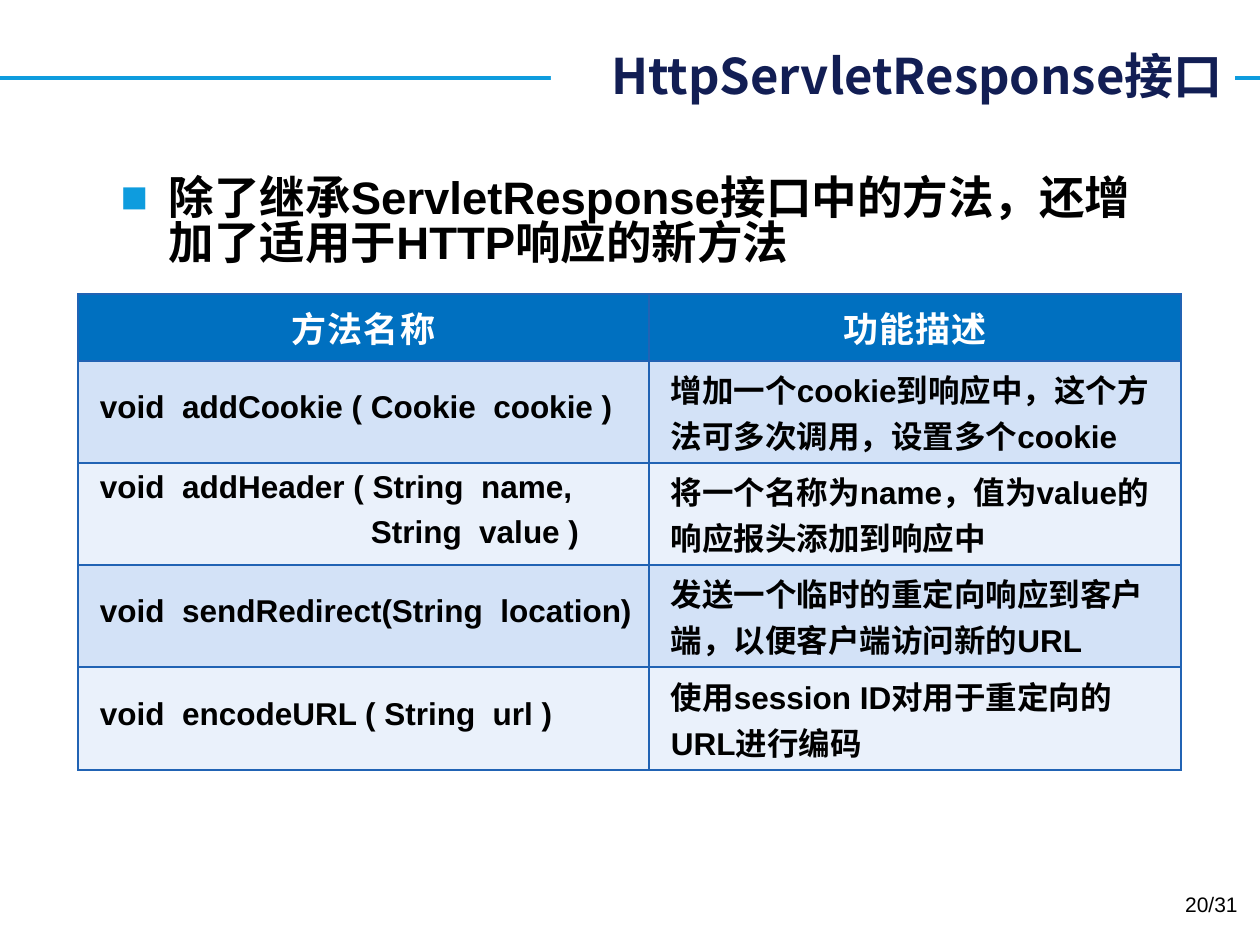
from lxml import etree
from pptx import Presentation
from pptx.dml.color import RGBColor
from pptx.enum.shapes import MSO_CONNECTOR as Connector
from pptx.enum.text import MSO_ANCHOR as Anchor, MSO_AUTO_SIZE as AutoSize, PP_ALIGN as Align
from pptx.oxml.ns import qn
from pptx.util import Pt

EMU_PER_PX = 914400 / 126
COLORS = {
    "white": "FFFFFF", "black": "000000", "navy": "121E54", "accent": "0E9CDE",
    "header": "0070C0", "border": "2163B4", "band": "D3E2F7", "pale": "EAF1FB",
}
LATIN, CJK = "Arial", "Noto Sans CJK SC"

METHODS = [
    (["void  addCookie ( Cookie  cookie )"],
     "增加一个cookie到响应中，这个方法可多次调用，设置多个cookie"),
    (["void  addHeader ( String  name,",
      "                               String  value )"],
     "将一个名称为name，值为value的响应报头添加到响应中"),
    (["void  sendRedirect(String  location)"],
     "发送一个临时的重定向响应到客户端，以便客户端访问新的URL"),
    (["void  encodeURL ( String  url )"],
     "使用session ID对用于重定向的URL进行编码"),
]


def px(length):
    return round(length * EMU_PER_PX)


def color(name):
    return RGBColor.from_string(COLORS[name])


class SlideBuilder:
    def __init__(self, deck):
        self.page = deck.slides.add_slide(deck.slide_layouts[1])

    def place(self, box, left, top, width, height):
        box.left, box.top, box.width, box.height = map(px, (left, top, width, height))

    def style(self, para, size, ink, font=LATIN, bold=True, align=Align.LEFT):
        para.alignment = align
        para.font.size, para.font.bold, para.font.name = Pt(size), bold, font
        para.font.color.rgb = color(ink)
        defaults = para._p.get_or_add_pPr().get_or_add_defRPr()
        etree.SubElement(defaults, qn("a:ea"), typeface=CJK)
        return defaults

    def indent(self, para, left, first=0):
        props = para._p.get_or_add_pPr()
        props.set("marL", str(px(left)))
        props.set("indent", str(px(first)))
        return props

    def rule(self, y, width):
        line = self.page.shapes.add_connector(Connector.STRAIGHT, 0, px(y), px(width), px(y))
        line.line.color.rgb = color("accent")
        line.line.width = Pt(2.25)
        etree.SubElement(line._element.spPr, qn("a:effectLst"))
        self.page.shapes._spTree.insert(2, line._element)  # behind the title

    def title(self, text, *area):
        box = self.page.shapes.title
        self.place(box, *area)
        box.fill.solid()
        box.fill.fore_color.rgb = color("white")
        frame = box.text_frame
        frame.text = text
        frame.vertical_anchor = Anchor.MIDDLE
        frame.auto_size = AutoSize.SHAPE_TO_FIT_TEXT
        self.style(frame.paragraphs[0], 28, "navy", CJK, align=Align.RIGHT)

    def bullet_list(self, text, *area):
        box = self.page.placeholders[1]
        self.place(box, *area)
        frame = box.text_frame
        frame.text = text
        frame.auto_size = AutoSize.NONE
        frame.margin_top = px(11)
        para = frame.paragraphs[0]
        props = self.indent(para, 48, -48)
        tint = etree.SubElement(props, qn("a:buClr"))
        etree.SubElement(tint, qn("a:srgbClr"), val=COLORS["accent"])
        etree.SubElement(props, qn("a:buFont"), typeface=LATIN)
        etree.SubElement(props, qn("a:buChar"), char="■")
        para.space_before = Pt(0)
        para.line_spacing = 0.82
        self.style(para, 26, "black")

    def cell(self, cell, lines, fill):
        cell.fill.solid()
        cell.fill.fore_color.rgb = color(fill)
        cell.vertical_anchor = Anchor.MIDDLE
        cell.margin_left = cell.margin_right = px(9)
        cell.margin_top = cell.margin_bottom = 0
        cell.text_frame.text = "\n".join(lines)
        props = cell._tc.get_or_add_tcPr()
        for position, side in enumerate(("lnL", "lnR", "lnT", "lnB")):
            edge = etree.Element(qn(f"a:{side}"), w=str(Pt(1)))
            paint = etree.SubElement(edge, qn("a:solidFill"))
            etree.SubElement(paint, qn("a:srgbClr"), val=COLORS["border"])
            props.insert(position, edge)
        return cell.text_frame.paragraphs

    def method_table(self, left, top, columns, rows, headings, methods):
        table = self.page.shapes.add_table(
            len(rows), len(columns), px(left), px(top), px(sum(columns)), px(sum(rows))).table
        for column, width in zip(table.columns, columns):
            column.width = px(width)
        for row, height in zip(table.rows, rows):
            row.height = px(height)
        for index, heading in enumerate(headings):
            para = self.cell(table.cell(0, index), [heading], "header")[0]
            self.style(para, 20, "white", CJK, align=Align.CENTER).set("spc", "60")
        for index, (signature, purpose) in enumerate(methods, start=1):
            fill = "band" if index % 2 else "pale"
            code = self.cell(table.cell(index, 0), signature, fill)
            note = self.cell(table.cell(index, 1), [purpose], fill)
            for para in code:
                para.line_spacing = Pt(15.6)
            for para in code[1:]:
                para.space_before = Pt(10)
            for para in (*code, *note):
                self.indent(para, 13)
                self.style(para, 18, "black")

    def page_number(self, text, *area):
        box = self.page.shapes.add_textbox(*map(px, area))
        box.text_frame.word_wrap = True
        box.text_frame.text = text
        self.style(box.text_frame.paragraphs[0], 12, "black", bold=False, align=Align.RIGHT)


def main():
    deck = Presentation()
    deck.slide_width, deck.slide_height = px(1260), px(945)
    slide = SlideBuilder(deck)

    # Heading on its rule
    slide.rule(78, 1260)
    slide.title("HttpServletResponse接口", 551, 39, 684, 72)

    # Introduction
    slide.bullet_list("除了继承ServletResponse接口中的方法，还增加了适用于HTTP响应的新方法",
                      108, 168, 1053, 708)

    # Methods and what they do
    slide.method_table(78, 294, [571, 532], [67, 102, 102, 102, 103],
                       ["方法名称", "功能描述"], METHODS)

    # Footer
    slide.page_number("20/31", 956, 885, 294, 50)

    deck.save("out.pptx")


if __name__ == "__main__":
    main()
